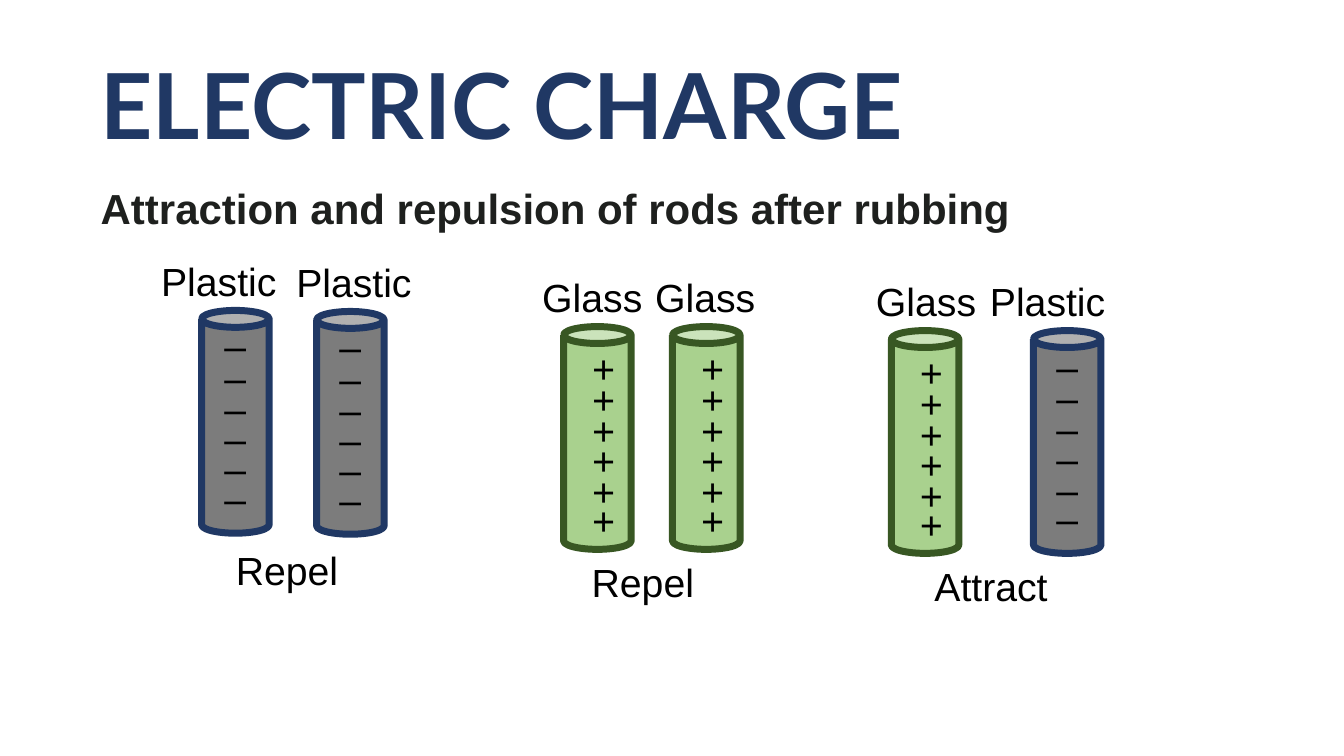
from pptx import Presentation
from pptx.dml.color import RGBColor
from pptx.enum.shapes import MSO_SHAPE as Shape
from pptx.enum.text import MSO_ANCHOR as Anchor, MSO_AUTO_SIZE as AutoSize
from pptx.util import Pt

# Content: lengths in px, 100 px to the inch
TITLE = "ELECTRIC CHARGE"
SUBTITLE = "Attraction and repulsion of rods after rubbing"

COLORS = {
    "navy": "203864", "ink": "1E201E", "black": "000000",
    "gray": "7C7C7C", "green": "A9D18E", "dark green": "385723",
}

MATERIALS = {
    "Plastic": {"sign": "–", "fill": "gray", "line": "navy",
                "sign_width": 45, "label_width": 145},
    "Glass": {"sign": "+", "fill": "green", "line": "dark green",
              "sign_width": 52, "label_width": 126},
}

# Each rod: material, rod left, rod top, label left
PAIRS = [
    {"result": "Repel", "result_box": (224, 537, 128),
     "rods": [("Plastic", 200, 308, 150), ("Plastic", 314, 309, 284)]},
    {"result": "Repel", "result_box": (577, 549, 128),
     "rods": [("Glass", 559, 324, 528), ("Glass", 667, 324, 640)]},
    {"result": "Attract", "result_box": (917, 553, 153),
     "rods": [("Glass", 884, 328, 859), ("Plastic", 1025, 328, 972)]},
]

ROD_WIDTH, ROD_HEIGHT = 67, 221
LINE_HEIGHT = 57
LABEL_RISE = 58
SIGN_INSET = 9
SIGN_DROPS = (17, 48, 79, 109, 139, 168)
EMU_PER_PX = 9144


def px(length):
    return length * EMU_PER_PX


def color(name):
    return RGBColor.from_string(COLORS[name])


def add_text(shapes, text, left, top, width, height=LINE_HEIGHT, *, size=28,
             font="Arial", ink="black", bold=False, wrap=False, rotation=0,
             line_spacing=None):
    box = shapes.add_textbox(px(left), px(top), px(width), px(height))
    box.rotation = rotation
    frame = box.text_frame
    frame.word_wrap = wrap
    frame.auto_size = AutoSize.NONE if wrap else AutoSize.SHAPE_TO_FIT_TEXT
    frame.vertical_anchor = Anchor.TOP
    paragraph = frame.paragraphs[0]
    paragraph.line_spacing = line_spacing
    run = paragraph.add_run()
    run.text = text
    run.font.name = font
    run.font.size = Pt(size)
    run.font.bold = bold
    run.font.color.rgb = color(ink)


def add_rod(shapes, name, left, top, label_left):
    material = MATERIALS[name]
    rod = shapes.add_shape(Shape.CAN, px(left), px(top), px(ROD_WIDTH), px(ROD_HEIGHT))
    rod.shadow.inherit = False
    rod.fill.solid()
    rod.fill.fore_color.rgb = color(material["fill"])
    rod.line.color.rgb = color(material["line"])
    rod.line.width = Pt(5)
    for drop in SIGN_DROPS:
        add_text(shapes, material["sign"], left + SIGN_INSET, top + drop,
                 material["sign_width"], rotation=180)
    add_text(shapes, name, label_left, top - LABEL_RISE, material["label_width"])


def main():
    presentation = Presentation()
    presentation.slide_width, presentation.slide_height = px(1333), px(750)
    slide = presentation.slides.add_slide(presentation.slide_layouts[6])

    # Headings
    add_text(slide.shapes, TITLE, 90, 55, 1154, 88, size=65, font="Lato",
             ink="navy", bold=True, wrap=True, line_spacing=0.9)
    add_text(slide.shapes, SUBTITLE, 90, 176, 1154, 58, size=30,
             ink="ink", bold=True, wrap=True)

    # Pairs of rubbed rods
    for pair in PAIRS:
        shapes = slide.shapes.add_group_shape().shapes
        for rod in pair["rods"]:
            add_rod(shapes, *rod)
        add_text(shapes, pair["result"], *pair["result_box"])

    presentation.save("out.pptx")


if __name__ == "__main__":
    main()
